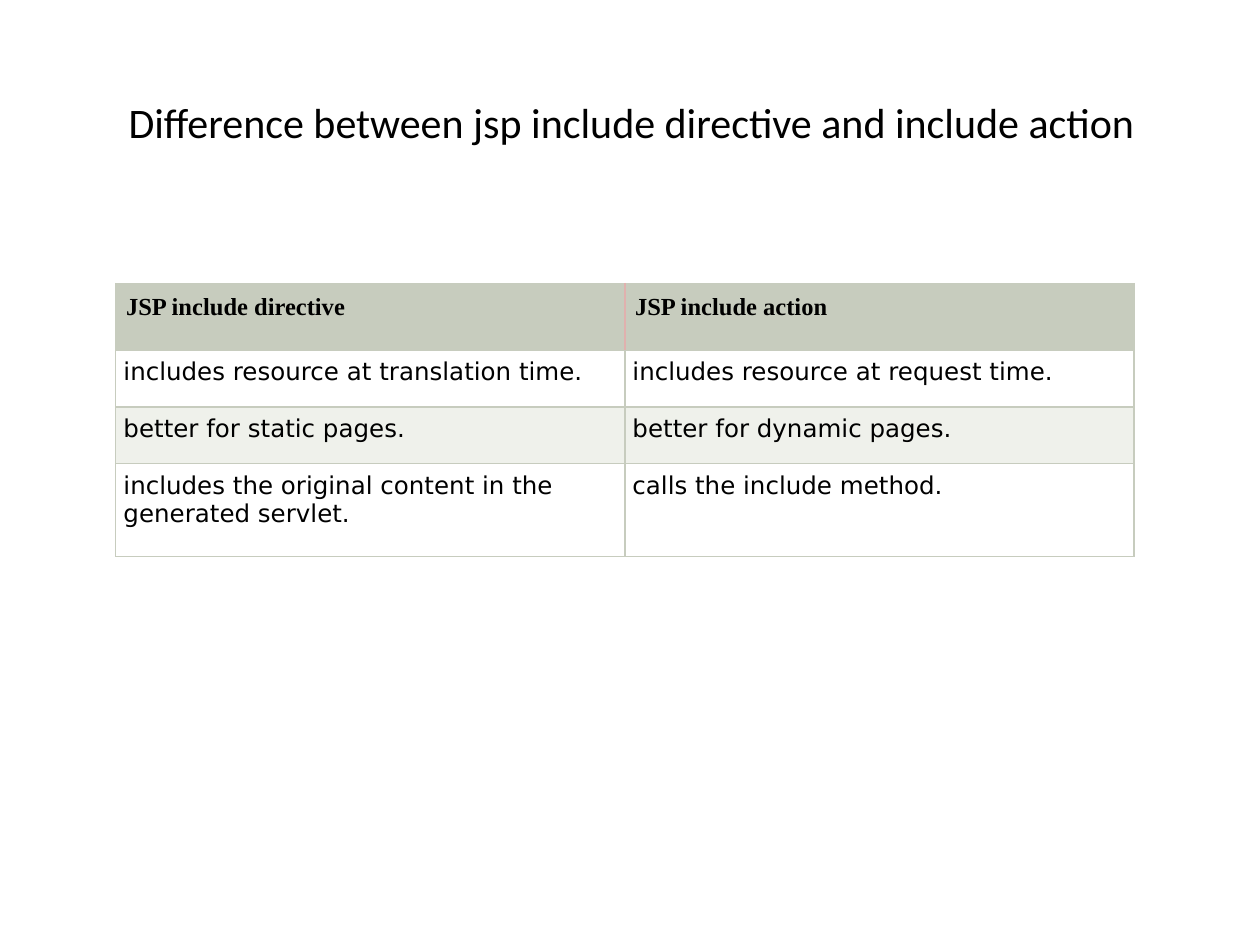
import pptx
import pptx.dml.color
import pptx.enum.text
import pptx.oxml.ns
import pptx.util
from lxml import etree

Inches = pptx.util.Inches
RGBColor = pptx.dml.color.RGBColor

BLACK = RGBColor(0x00, 0x00, 0x00)
WHITE = RGBColor(0xFF, 0xFF, 0xFF)
SAGE = RGBColor(0xC7, 0xCC, 0xBE)
PALE_SAGE = RGBColor(0xEF, 0xF1, 0xEB)
PINK = RGBColor(0xE0, 0xB1, 0xAE)

ROWS = [
    ("JSP include directive", "JSP include action"),
    ("includes resource at translation time.", "includes resource at request time."),
    ("better for static pages.", "better for dynamic pages."),
    ("includes the original content in the generated servlet.", "calls the include method."),
]
ROW_HEIGHTS = [0.53, 0.45, 0.45, 0.74]
ROW_FILLS = [SAGE, WHITE, PALE_SAGE, WHITE]
COLUMN_WIDTH = 4.04


def add_run(paragraph, text, font_name, size, bold=False):
    run = paragraph.add_run()
    run.text = text
    run.font.name = font_name
    run.font.size = pptx.util.Pt(size)
    run.font.bold = bold
    run.font.color.rgb = BLACK


def add_title(slide, text):
    title = slide.shapes.title
    title.left, title.top = Inches(0.92), Inches(0.57)
    title.width, title.height = Inches(8.62), Inches(0.85)
    title.text_frame.vertical_anchor = pptx.enum.text.MSO_ANCHOR.MIDDLE
    paragraph = title.text_frame.paragraphs[0]
    paragraph.alignment = pptx.enum.text.PP_ALIGN.LEFT
    paragraph.line_spacing = 0.9
    add_run(paragraph, text, "Calibri", 24)


def set_borders(cell, colors):
    qualified = pptx.oxml.ns.qn
    properties = cell._tc.get_or_add_tcPr()
    for side, color in colors.items():
        line = etree.SubElement(properties, qualified(f"a:ln{side}"), w=str(pptx.util.Pt(0.75)))
        fill = etree.SubElement(line, qualified("a:solidFill"))
        etree.SubElement(fill, qualified("a:srgbClr"), val=str(color))


def format_cell(cell, text, fill_color, is_header, is_first_column):
    borders = dict.fromkeys("LRTB", SAGE)
    if is_header:
        borders["R" if is_first_column else "L"] = PINK
    set_borders(cell, borders)
    cell.fill.solid()
    cell.fill.fore_color.rgb = fill_color
    margin = Inches(0.08 if is_header else 0.06)
    cell.margin_left = cell.margin_right = margin
    cell.margin_top = cell.margin_bottom = margin
    font_name = "Times New Roman" if is_header else "DejaVu Sans"
    add_run(cell.text_frame.paragraphs[0], text, font_name, 14, is_header)


def add_comparison_table(slide):
    columns = len(ROWS[0])
    frame = slide.shapes.add_table(
        len(ROWS), columns, Inches(0.92), Inches(2.25),
        Inches(COLUMN_WIDTH * columns), Inches(sum(ROW_HEIGHTS)))
    table = frame.table
    table.first_row = False
    table.horz_banding = False
    for column in table.columns:
        column.width = Inches(COLUMN_WIDTH)
    for row_index, texts in enumerate(ROWS):
        table.rows[row_index].height = Inches(ROW_HEIGHTS[row_index])
        for column_index, text in enumerate(texts):
            format_cell(table.cell(row_index, column_index), text,
                        ROW_FILLS[row_index], row_index == 0, column_index == 0)


def main():
    presentation = pptx.Presentation()
    presentation.slide_width = Inches(10)
    presentation.slide_height = Inches(7.5)
    slide = presentation.slides.add_slide(presentation.slide_layouts[5])
    add_title(slide, "Difference between jsp include directive and include action")
    add_comparison_table(slide)
    presentation.save("out.pptx")


if __name__ == "__main__":
    main()
